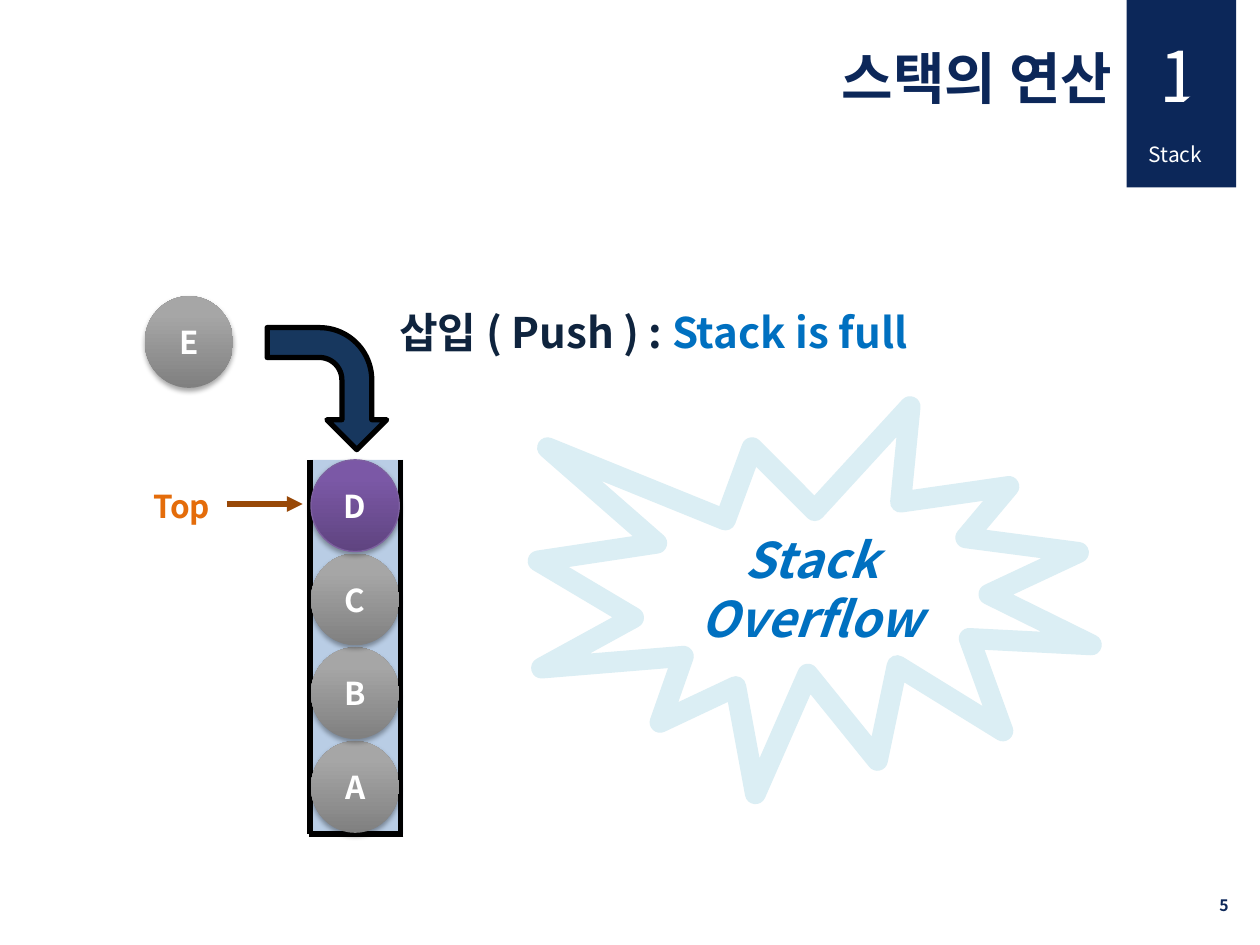
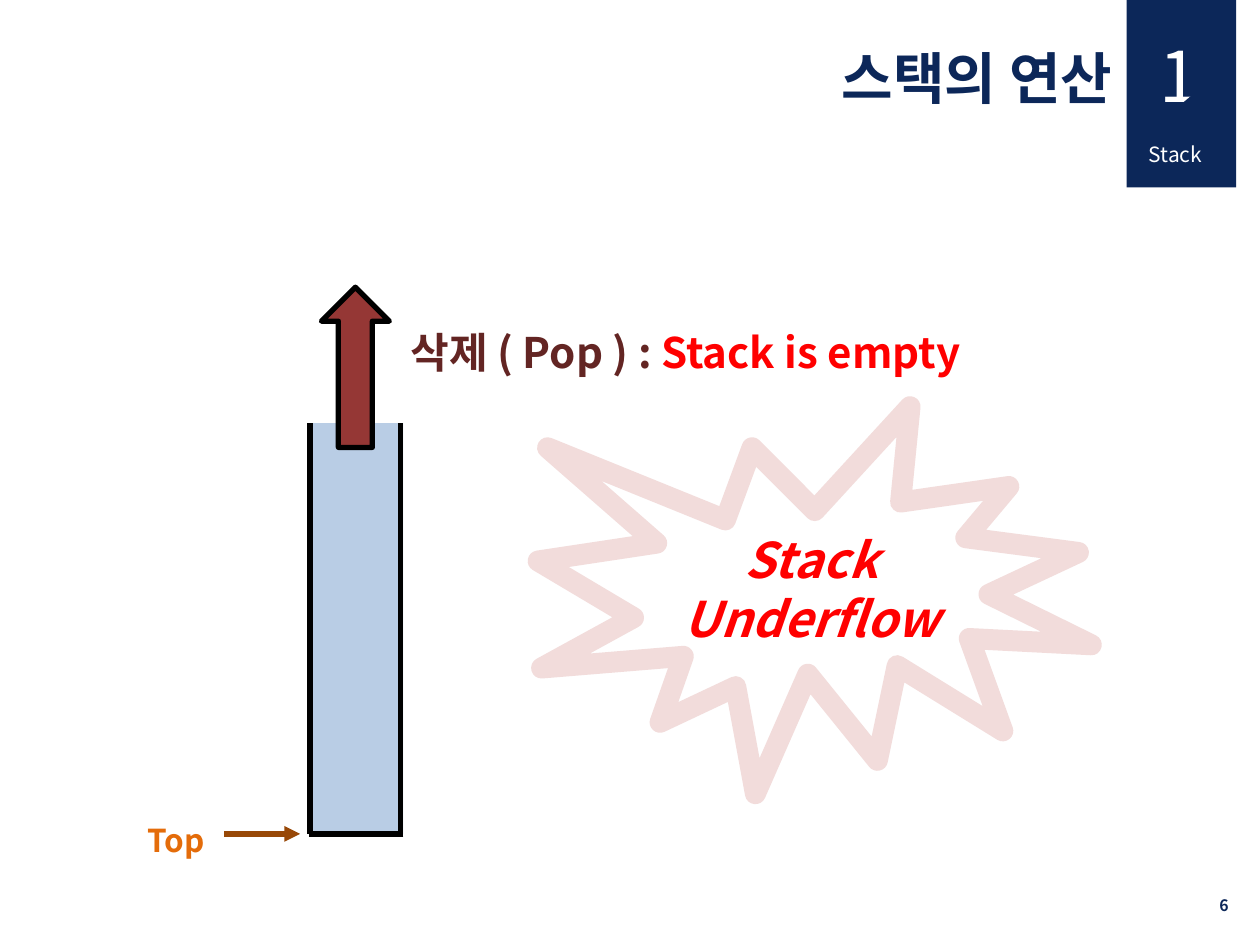
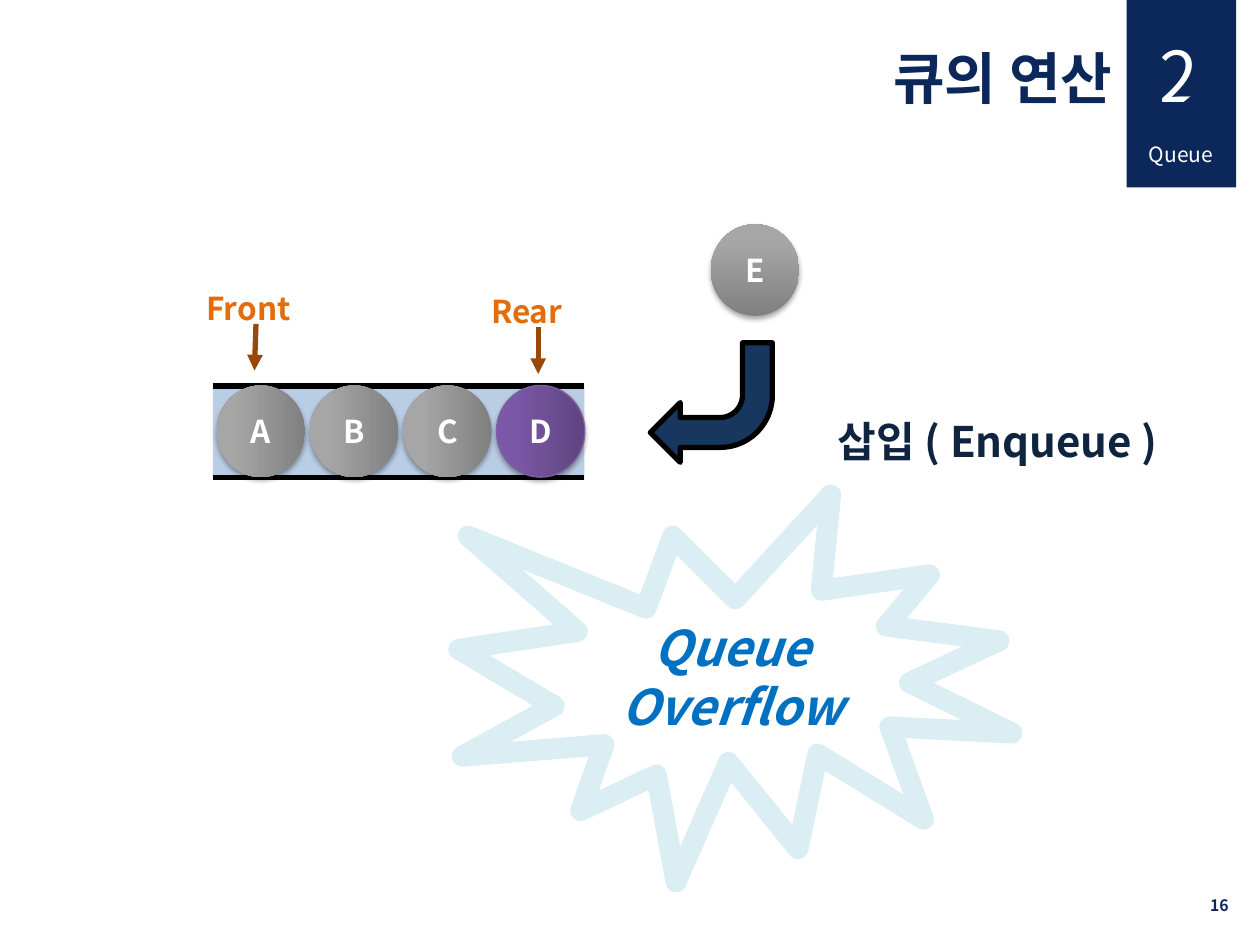
from lxml.etree import SubElement
from pptx import Presentation
from pptx.dml.color import RGBColor
from pptx.enum.shapes import MSO_CONNECTOR as Link, MSO_SHAPE as Shape
from pptx.enum.text import MSO_ANCHOR as Anchor, PP_ALIGN as Align
from pptx.oxml import parse_xml
from pptx.oxml.ns import nsdecls, qn
from pptx.util import Cm, Pt

FONT = "Noto Sans CJK KR"
NAVY, WHITE, BLACK = "0C2759", "FFFFFF", "000000"
CONTAINER, INSERT, INSERT_TEXT = "B9CDE5", "17375E", "0F243E"
REMOVE, REMOVE_TEXT = "953735", "632523"
BLUE, RED, PALE_BLUE, PALE_RED = "0070C0", "FF0000", "DBEEF4", "F2DCDB"
ORANGE, BROWN = "E46C0A", "984807"
GREY_BALL, PURPLE_BALL = ("808080", "A6A6A6"), ("5F4480", "7B58A6")
PURPLE_LINE = "7D60A0"

TITLE = {"size": Pt(32), "bold": True}
NUMBER = {"size": Pt(40)}
CHAPTER = {"size": Pt(12)}
PAGE = {"size": Pt(9), "bold": True}
HEADING = {"size": Pt(24), "bold": True}
LABEL = {"size": Pt(18), "bold": True}
ALERT = {"size": Pt(28), "bold": True, "italic": True}

BALL_W, BALL_H = 1.78, 1.85
SHADOW = (
    f'<a:effectLst {nsdecls("a")}><a:outerShdw blurRad="39370" dist="22860" '
    'dir="5400000" rotWithShape="0"><a:srgbClr val="000000">'
    '<a:alpha val="35000"/></a:srgbClr></a:outerShdw></a:effectLst>'
)


def rgb(value):
    """Return the colour of a hex string."""
    return RGBColor.from_string(value)


def lengths(*values):
    """Return centimetre values as lengths."""
    return [Cm(v) for v in values]


def write(tf, paragraphs, style, align=Align.LEFT, anchor=Anchor.TOP, spacing=None):
    """Write paragraphs, each a list of (text, colour) runs."""
    tf.word_wrap = True
    tf.vertical_anchor = anchor
    for i, runs in enumerate(paragraphs):
        p = tf.add_paragraph() if i else tf.paragraphs[0]
        p.alignment = align
        p.line_spacing = spacing
        for text, color in runs:
            r = p.add_run()
            r.text = text
            for name, value in {"name": FONT, **style}.items():
                setattr(r.font, name, value)
            r.font.color.rgb = rgb(color)
            SubElement(r.font._element, qn("a:ea"), typeface=FONT)


def add_text(slide, box, runs, style, **layout):
    """Add a text box holding one paragraph."""
    sp = slide.shapes.add_textbox(*lengths(*box))
    write(sp.text_frame, [runs], style, **layout)


def add_shape(slide, kind, box, fill=None, line=None, width=3.0, rotation=0):
    """Add a flat preset shape."""
    sp = slide.shapes.add_shape(kind, *lengths(*box))
    sp.shadow.inherit = False
    sp.rotation = rotation
    if fill:
        sp.fill.solid()
        sp.fill.fore_color.rgb = rgb(fill)
    else:
        sp.fill.background()
    if line:
        sp.line.color.rgb = rgb(line)
        sp.line.width = Pt(width)
    else:
        sp.line.fill.background()
    return sp


def add_line(slide, start, end, color=BLACK, arrow=False):
    """Add a straight line, with an arrowhead at its end if asked."""
    cn = slide.shapes.add_connector(Link.STRAIGHT, *lengths(*start, *end))
    cn.line.color.rgb = rgb(color)
    cn.line.width = Pt(3)
    if arrow:
        SubElement(cn.line._get_or_add_ln(), qn("a:tailEnd"), type="triangle")
    SubElement(cn._element.spPr, qn("a:effectLst"))


def add_ball(slide, left, top, letter, angle=90):
    """Add a shaded data item; D is the newest one stored."""
    newest = letter == "D"
    sp = add_shape(slide, Shape.OVAL, (left, top, BALL_W, BALL_H),
                   line=PURPLE_LINE if newest else None, width=0.75)
    sp.fill.gradient()
    sp.fill.gradient_angle = angle
    colors = PURPLE_BALL if newest else GREY_BALL
    for stop, color, position in zip(sp.fill.gradient_stops, colors, (0, 0.8)):
        stop.color.rgb = rgb(color)
        stop.position = position
    spPr = sp._element.spPr
    spPr.replace(spPr.find(qn("a:effectLst")), parse_xml(SHADOW))
    write(sp.text_frame, [[(letter, WHITE)]], LABEL, Align.CENTER, Anchor.MIDDLE)


def add_badge(slide, box, number, chapter):
    """Add the chapter badge with its number and folded corner."""
    left, top, _, _ = box
    add_shape(slide, Shape.RECTANGLE, box, NAVY)
    add_text(slide, (left + 0.2, top + 2.72, 2.01, 0.76), [(chapter, WHITE)],
             CHAPTER, align=Align.JUSTIFY)
    add_text(slide, (left + 0.41, top + 0.53, 1.6, 1.96), [(number, WHITE)], NUMBER)
    fold = add_shape(slide, Shape.ISOSCELES_TRIANGLE,
                     (left + 0.61, top + 1.52, 1.19, 0.99), NAVY)
    fold.adjustments[0] = 1


def add_stack(slide, box, letters=""):
    """Add an open-topped stack filled from the bottom."""
    left, top, width, height = box
    right, bottom = left + 1.83, top + height
    add_shape(slide, Shape.RECTANGLE, box, CONTAINER)
    for x in (left, right):
        add_line(slide, (x, top), (x, bottom))
    add_line(slide, (right + 0.05, bottom), (left - 0.03, bottom))
    for i, letter in enumerate(letters):
        add_ball(slide, left + 0.02, bottom - 1.87 - 1.89 * i, letter)


def add_queue(slide, box, letters):
    """Add a queue open at both ends, filled from the left."""
    left, top, width, height = box
    add_shape(slide, Shape.RECTANGLE, box, CONTAINER)
    for y in (top, top + 1.84):
        add_line(slide, (left, y), (left + width, y))
    for i, letter in enumerate(letters):
        add_ball(slide, left + 0.08 + 1.88 * i, top - 0.01, letter, angle=180)


def add_pointer(slide, box, name, start, end):
    """Add a named pointer whose arrow runs between offsets from its label."""
    left, top, _, _ = box
    add_text(slide, box, [(name, ORANGE)], LABEL, spacing=1.5)
    add_line(slide, (left + start[0], top + start[1]),
             (left + end[0], top + end[1]), BROWN, arrow=True)


def add_heading(slide, left, top, *runs):
    """Add the name of the operation and its state."""
    add_text(slide, (left, top, 13.5 if len(runs) > 1 else 7.7, 1.63), runs,
             HEADING, spacing=1.5)


def add_insert_arrow(slide, left, top, rotation):
    """Add the bent arrow that leads a new item in."""
    add_shape(slide, Shape.BENT_ARROW, (left, top, 2.46, 2.41), INSERT, BLACK,
              rotation=rotation)


def add_alert(slide, left, top, lines, color, outline):
    """Add the burst that names the error."""
    sp = add_shape(slide, Shape.EXPLOSION1, (left, top, 11.15, 7.8),
                   line=outline, width=12)
    write(sp.text_frame, [[(line, color)] for line in lines], ALERT,
          Align.CENTER, Anchor.MIDDLE)


def new_slide(prs, title, number, chapter, page):
    """Add a slide with its title, badge and page number."""
    slide = prs.slides.add_slide(prs.slide_layouts[5])
    sp = slide.shapes.title
    sp.left, sp.top, sp.width, sp.height = lengths(15.49, 0.74, 7.19, 1.63)
    write(sp.text_frame, [[(title, NAVY)]], TITLE, Align.RIGHT)
    add_badge(slide, (22.71, 0, 2.21, 3.78), number, chapter)
    add_text(slide, (19.1, 17.73, 5.92, 1.02), [(page, NAVY)], PAGE,
             align=Align.RIGHT, anchor=Anchor.MIDDLE)
    return slide


def build_stack_push(prs):
    """Build the slide on pushing to a full stack."""
    slide = new_slide(prs, "스택의 연산", "1", "Stack", "5")
    add_stack(slide, (6.25, 9.27, 1.88, 7.54), "ABCD")
    add_insert_arrow(slide, 5.36, 6.63, 90)
    add_ball(slide, 2.92, 5.97, "E")
    add_heading(slide, 7.8, 5.54, ("삽입 ( Push ) : ", INSERT_TEXT),
                ("Stack is full", BLUE))
    add_pointer(slide, (2.84, 9.32, 1.78, 1.27), "Top", (1.73, 0.84), (3.26, 0.84))
    add_alert(slide, 10.85, 8.2, ["Stack", "Overflow"], BLUE, PALE_BLUE)


def build_stack_pop(prs):
    """Build the slide on popping from an empty stack."""
    slide = new_slide(prs, "스택의 연산", "1", "Stack", "6")
    add_stack(slide, (6.25, 8.53, 1.88, 8.28))
    add_heading(slide, 8.03, 5.94, ("삭제 ( Pop ) : ", REMOVE_TEXT),
                ("Stack is empty", RED))
    add_pointer(slide, (2.72, 16.05, 1.78, 1.27), "Top", (1.8, 0.76), (3.33, 0.76))
    add_shape(slide, Shape.UP_ARROW, (6.48, 5.79, 1.37, 3.23), REMOVE, BLACK)
    add_alert(slide, 10.85, 8.2, ["Stack Underflow"], RED, PALE_RED)


def build_queue_insert(prs):
    """Build the slide on inserting into a full queue."""
    slide = new_slide(prs, "큐의 연산", "2", "Queue", "16")
    add_insert_arrow(slide, 13.11, 6.91, 180)
    add_ball(slide, 14.33, 4.52, "E")
    add_heading(slide, 16.64, 7.75, ("삽입 ( Enqueue )", INSERT_TEXT))
    add_queue(slide, (4.29, 7.78, 7.49, 1.88), "ABCD")
    add_pointer(slide, (3.91, 5.33, 2.46, 1.27), "Front", (1.25, 1.2), (1.22, 2.14))
    add_pointer(slide, (9.65, 5.38, 2.21, 1.27), "Rear", (1.2, 1.22), (1.2, 2.16))
    add_alert(slide, 9.25, 9.98, ["Queue", "Overflow"], BLUE, PALE_BLUE)


def main():
    """Build and save the presentation."""
    prs = Presentation()
    prs.slide_width, prs.slide_height = lengths(25.4, 19.05)
    for build in (build_stack_push, build_stack_pop, build_queue_insert):
        build(prs)
    prs.save("out.pptx")


if __name__ == "__main__":
    main()
